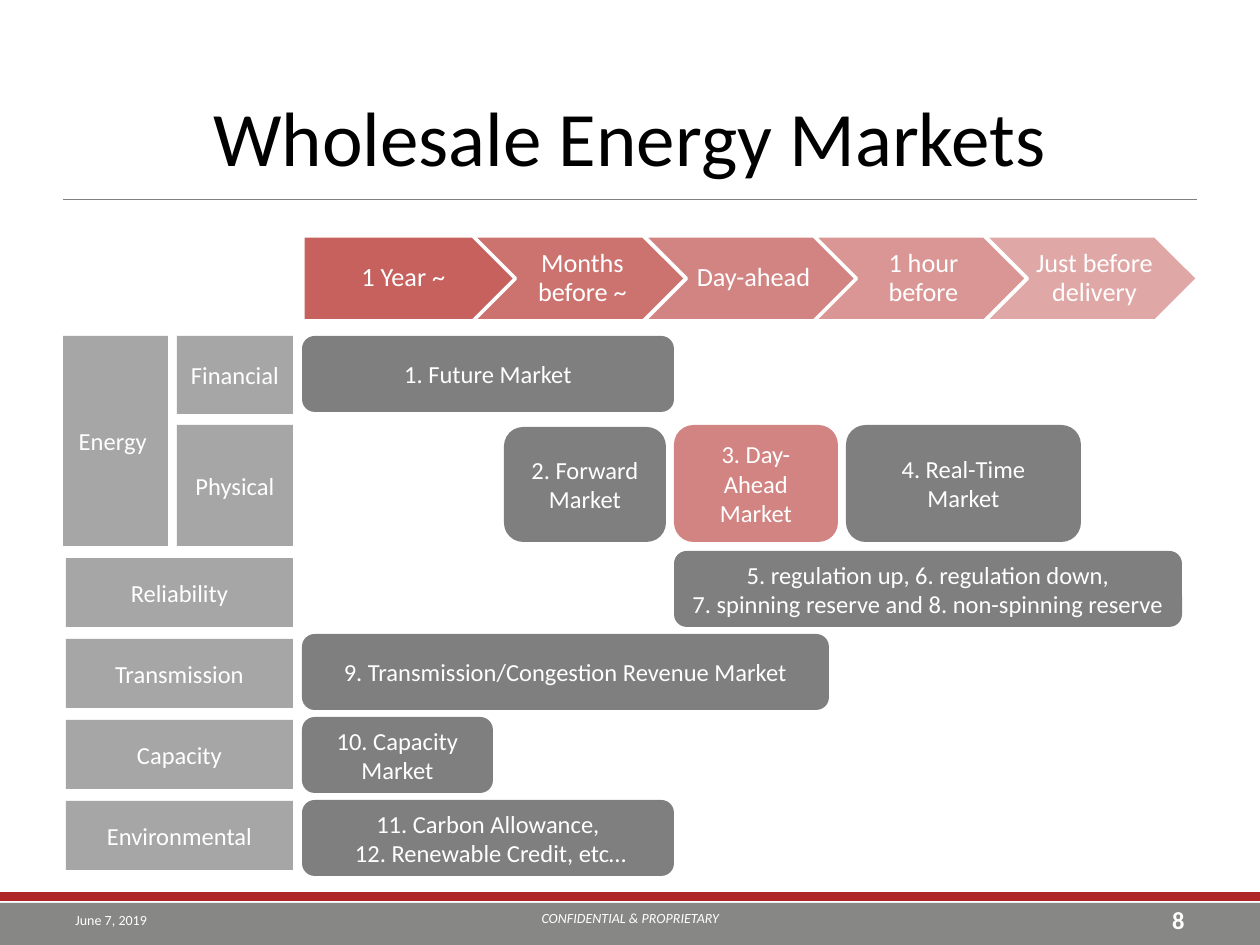
import pptx
import pptx.dml.color
import pptx.enum.shapes
import pptx.enum.text
import pptx.oxml.ns
import pptx.util
from lxml import etree

SHAPE = pptx.enum.shapes.MSO_SHAPE
ALIGN = pptx.enum.text.PP_ALIGN
MIDDLE = pptx.enum.text.MSO_ANCHOR.MIDDLE
PX_PER_INCH = 126
FONT = "Calibri"
WHITE, BLACK, RED = "FFFFFF", "000000", "C0504D"
LABEL_GREY, MARKET_GREY = "A6A6A6", "7F7F7F"

PERIODS = ["1 Year ~", "Months before ~", "Day-ahead", "1 hour before", "Just before delivery"]
ENERGY_LABELS = [
    ("Energy ", (63, 336, 105, 210)),
    ("Financial ", (177, 336, 116, 78)),
    ("Physical", (177, 425, 116, 121)),
]
ROW_LABELS = ["Reliability", "Transmission", "Capacity", "Environmental"]
MARKETS = [
    ("3. Day-Ahead Market", (674, 425, 164, 117), RED, 70),
    ("4. Real-Time Market", (846, 425, 235, 117), MARKET_GREY, 100),
    (" 5. regulation up, 6. regulation down, \n7. spinning reserve and 8. non-spinning reserve",
     (674, 551, 508, 76), BLACK, 50),
    ("9. Transmission/Congestion Revenue Market", (302, 634, 527, 76), BLACK, 50),
    ("10. Capacity Market", (302, 717, 191, 76), BLACK, 50),
    ("11. Carbon Allowance,\n 12. Renewable Credit, etc…", (302, 800, 372, 76), BLACK, 50),
    ("1. Future Market", (302, 336, 372, 76), BLACK, 50),
    ("2. Forward Market", (504, 427, 162, 115), BLACK, 50),
]


def px(length):
    return pptx.util.Emu(round(length * 914400 / PX_PER_INCH))


def place(bounds):
    return [px(length) for length in bounds]


def colour(value):
    return pptx.dml.color.RGBColor.from_string(value)


def write(shape, text, size, align=ALIGN.CENTER, ink=WHITE, bold=False, italic=False):
    frame = shape.text_frame
    frame.word_wrap = True
    frame.vertical_anchor = MIDDLE
    frame.text = text
    for para in frame.paragraphs:
        para.alignment = align
        font = para.font
        font.name, font.size = FONT, pptx.util.Pt(size)
        font.bold, font.italic = bold, italic
        font.color.rgb = colour(ink)


def add_block(page, kind, bounds, fill, opacity=100):
    shape = page.shapes.add_shape(kind, *place(bounds))
    shape.shadow.inherit = False
    shape.fill.solid()
    shape.fill.fore_color.rgb = colour(fill)
    shape.line.fill.background()
    if opacity < 100:
        tone = shape.fill._xPr.find(".//" + pptx.oxml.ns.qn("a:srgbClr"))
        etree.SubElement(tone, pptx.oxml.ns.qn("a:alpha"), val=str(opacity * 1000))
    return shape


def add_label(page, text, bounds):
    write(add_block(page, SHAPE.RECTANGLE, bounds, LABEL_GREY), text, 14)


def add_period(page, index, text):
    kind = SHAPE.CHEVRON if index else SHAPE.PENTAGON
    step = add_block(page, kind, (303 + index * 341 // 2, 236, 213, 85), RED, 90 - 10 * index)
    step.line.color.rgb = colour(WHITE)
    step.line.width = pptx.util.Pt(2)
    write(step, text, 15)
    frame = step.text_frame
    frame.margin_left, frame.margin_right = px(6 if index else 9), px(0)
    frame.margin_top = frame.margin_bottom = px(5)
    frame.paragraphs[0].line_spacing = 0.9


def add_rule(page):
    rule = page.shapes.add_connector(
        pptx.enum.shapes.MSO_CONNECTOR.STRAIGHT, *place((63, 199, 1197, 199)))
    rule.line.color.rgb = colour("808080")
    rule.line.width = pptx.util.Pt(0.5)
    etree.SubElement(rule._element.spPr, pptx.oxml.ns.qn("a:effectLst"))


def add_title(page, text):
    title = page.shapes.title
    title.left, title.top, title.width, title.height = place((63, 76, 1134, 120))
    write(title, text, 44, ink=BLACK)


def add_footer_text(page, text, bounds, size, align, **style):
    write(page.shapes.add_textbox(*place(bounds)), text, size, align, **style)


def add_footer(page):
    add_footer_text(page, "8", (903, 895, 294, 50), 14, ALIGN.RIGHT, bold=True)
    add_footer_text(page, "CONFIDENTIAL & PROPRIETARY", (431, 893, 399, 50), 8,
                    ALIGN.CENTER, italic=True)
    add_footer_text(page, "June 7, 2019", (63, 895, 294, 50), 8, ALIGN.LEFT)


def main():
    deck = pptx.Presentation()
    deck.slide_width, deck.slide_height = px(1260), px(945)
    page = deck.slides.add_slide(deck.slide_layouts[5])

    add_block(page, SHAPE.RECTANGLE, (0, 892, 1260, 9), "AF2626")
    add_block(page, SHAPE.RECTANGLE, (0, 903, 1260, 42), "878785")
    add_rule(page)
    add_title(page, "Wholesale Energy Markets")
    for index, period in enumerate(PERIODS):
        add_period(page, index, period)
    add_footer(page)
    for text, bounds in ENERGY_LABELS:
        add_label(page, text, bounds)
    for row, text in enumerate(ROW_LABELS):
        add_label(page, text, (66, 558 + 81 * row, 227, 69))
    for text, bounds, fill, opacity in MARKETS:
        write(add_block(page, SHAPE.FLOWCHART_ALTERNATE_PROCESS, bounds, fill, opacity), text, 14)
    deck.save("out.pptx")


if __name__ == "__main__":
    main()
